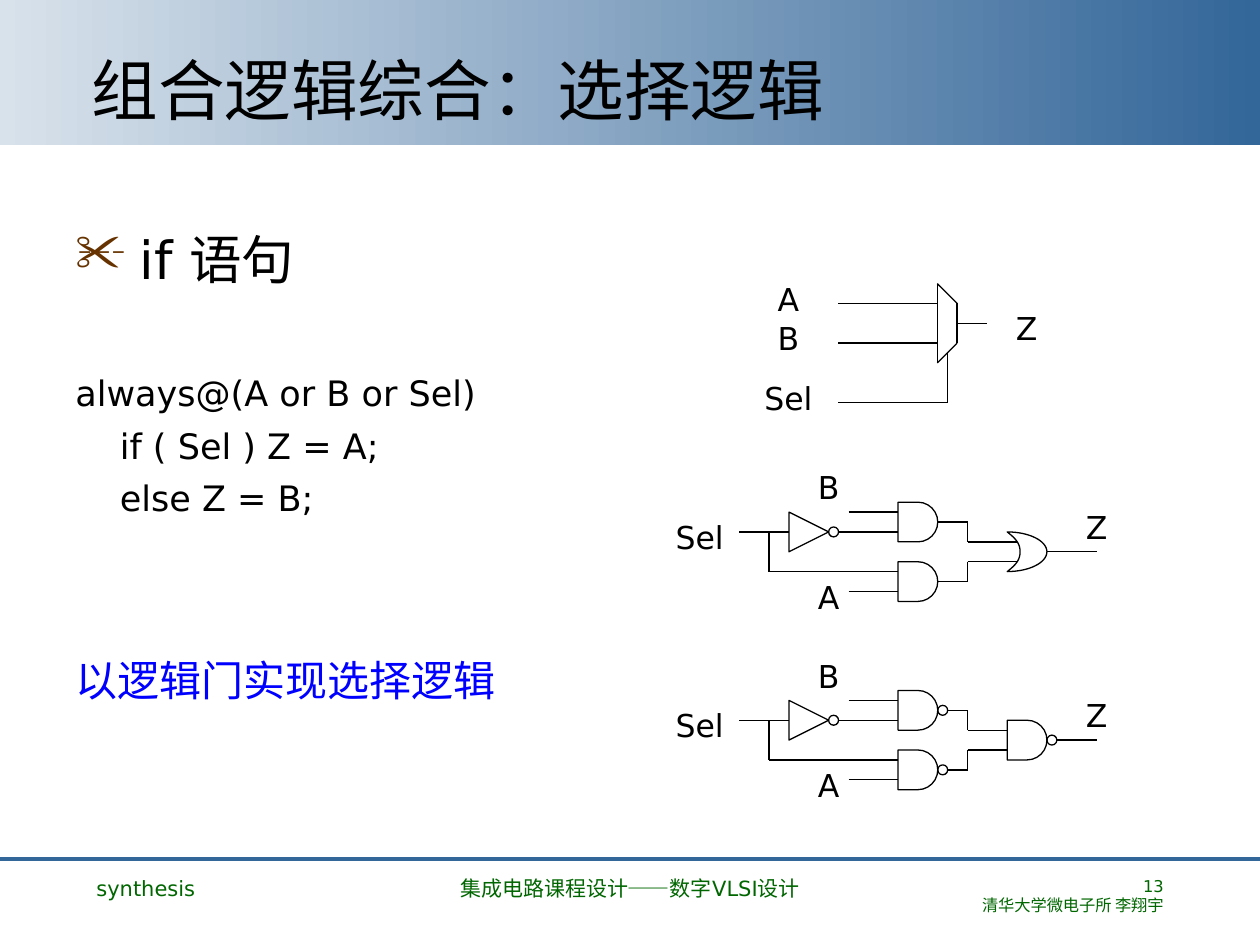
from dataclasses import dataclass

import pptx
import pptx.dml.color
import pptx.enum.shapes
import pptx.enum.text
import pptx.oxml.ns
import pptx.util
from lxml import etree

Pt = pptx.util.Pt
RGB = pptx.dml.color.RGBColor.from_string
KIND = pptx.enum.shapes.MSO_SHAPE
ALIGN = pptx.enum.text.PP_ALIGN
ANCHOR = pptx.enum.text.MSO_ANCHOR


@dataclass(frozen=True)
class Theme:
    font: str = "DejaVu Sans"
    ink: str = "000000"
    blue: str = "336699"
    pale: str = "D8E2EB"
    note: str = "0000FF"
    green: str = "006600"
    bullet: str = "663300"
    title: float = 38
    head: float = 30
    conclusion: float = 24
    code: float = 20
    label: float = 18
    footer: float = 12
    credit: float = 9.3
    thin: float = 0.75
    rule: float = 2.25


@dataclass(frozen=True)
class Grid:
    """Circuit coordinates: an origin in points and a pitch of 2 mm."""
    left: float
    top: float
    pitch: float = 5.67

    def at(self, x: float, y: float) -> tuple[float, float]:
        return self.left + x * self.pitch, self.top + y * self.pitch


@dataclass(frozen=True)
class Wire:
    x1: float
    y1: float
    x2: float
    y2: float


@dataclass(frozen=True)
class Label:
    text: str
    x: float
    y: float


T = Theme()
Point = tuple[float, float]

# Multiplexer, in grid units
MUX_WIRES = [
    Wire(10, -2, 10, 6), Wire(12, 0, 12, 4), Wire(10, 6, 12, 4), Wire(10, -2, 12, 0),
    Wire(0, 0, 10, 0), Wire(0, 4, 10, 4), Wire(12, 2, 15, 2),
    Wire(11, 5, 11, 10), Wire(0, 10, 11, 10),
]
MUX_LABELS = [Label("A", -8, -2), Label("B", -8, 2), Label("Sel", -8, 8), Label("Z", 16, 1)]

# Wiring shared by both gate circuits
GATE_WIRES = [
    Wire(0, 0, 5, 0), Wire(10, 0, 16, 0), Wire(3, 0, 3, 4), Wire(3, 4, 16, 4),
    Wire(11, -2, 16, -2), Wire(11, 6, 16, 6), Wire(23, -1, 23, 1), Wire(23, 3, 23, 5),
]
GATE_LABELS = [Label("A", 6, 5), Label("B", 6, -6), Label("Sel", -7, -1), Label("Z", 33, -2)]
OR_CURVES = [
    ((27, 4), (27.6, 3.5), (28.3, 3), (28.3, 2)),
    ((28.3, 2), (28.3, 1), (27.6, 0.5), (27, 0)),
    ((27, 0), (29.2, 0), (31, 0.9), (31, 2)),
    ((31, 2), (31, 3.1), (29.2, 4), (27, 4)),
]


def add_text(s, text: str, box=None, *, tf=None, size: float, color: str = T.ink,
             align=ALIGN.LEFT, anchor=ANCHOR.TOP, inset: Point = (7.2, 3.6),
             wrap: bool = True, before: float = 0, bullet: str = "", hang: float = 0):
    """Write a paragraph in a new box, or append it to the given text frame."""
    if tf is None:
        tf = s.shapes.add_textbox(*map(Pt, box)).text_frame
        tf.word_wrap, tf.vertical_anchor = wrap, anchor
        tf.margin_left = tf.margin_right = Pt(inset[0])
        tf.margin_top = tf.margin_bottom = Pt(inset[1])
        p = tf.paragraphs[0]
    else:
        p = tf.add_paragraph()
    p.alignment = align
    if before:
        p.space_before = Pt(before)
    if bullet:
        ppr = p._p.get_or_add_pPr()
        ppr.set("marL", str(Pt(hang)))
        ppr.set("indent", str(-Pt(hang)))
        tint = etree.SubElement(ppr, pptx.oxml.ns.qn("a:buClr"))
        etree.SubElement(tint, pptx.oxml.ns.qn("a:srgbClr"), val=T.bullet)
        etree.SubElement(ppr, pptx.oxml.ns.qn("a:buChar"), char=bullet)
    r = p.add_run()
    r.text = text
    r.font.name, r.font.size = T.font, Pt(size)
    r.font.color.rgb = RGB(color)
    return tf


def add_line(s, start: Point, end: Point, color: str = T.ink, width: float = T.thin) -> None:
    c = s.shapes.add_connector(pptx.enum.shapes.MSO_CONNECTOR.STRAIGHT,
                               *map(Pt, (*start, *end)))
    c.line.color.rgb, c.line.width = RGB(color), Pt(width)
    etree.SubElement(c._element.spPr, pptx.oxml.ns.qn("a:effectLst"))


def outline(sp) -> None:
    sp.shadow.inherit = False
    sp.fill.background()
    sp.line.color.rgb, sp.line.width = RGB(T.ink), Pt(T.thin)


def add_part(s, g: Grid, kind, x: float, y: float, size: float, turn: float = 0) -> None:
    side = size * g.pitch
    sp = s.shapes.add_shape(kind, *map(Pt, (*g.at(x, y), side, side)))
    sp.rotation = turn
    outline(sp)


def add_wiring(s, g: Grid, wires: list[Wire], labels: list[Label]) -> None:
    for w in wires:
        add_line(s, g.at(w.x1, w.y1), g.at(w.x2, w.y2))
    for b in labels:
        add_text(s, b.text, (*g.at(b.x, b.y), 6 * g.pitch, 3 * g.pitch), size=T.label,
                 align=ALIGN.CENTER, anchor=ANCHOR.MIDDLE, inset=(0, 0), wrap=False)


def add_or_gate(s, g: Grid, steps: int = 16) -> None:
    points = []
    for curve in OR_CURVES:
        for i in range(steps):
            t = i / steps
            weights = ((1 - t) ** 3, 3 * t * (1 - t) ** 2, 3 * t * t * (1 - t), t ** 3)
            x, y = (sum(w * q[k] for w, q in zip(weights, curve)) for k in (0, 1))
            points.append(tuple(map(Pt, g.at(x, y))))
    builder = s.shapes.build_freeform(*points[0])
    builder.add_line_segments(points[1:], close=True)
    outline(builder.convert_to_shape())


def add_gate_circuit(s, g: Grid, nand: bool) -> None:
    out = 21 if nand else 20
    into, end = (27, 32) if nand else (28, 31)
    wires = GATE_WIRES + [Wire(out, y, 23, y) for y in (-1, 5)]
    wires += [Wire(23, y, into, y) for y in (1, 3)] + [Wire(end, 2, 36, 2)]
    add_wiring(s, g, wires, GATE_LABELS)
    add_part(s, g, KIND.ISOSCELES_TRIANGLE, 5, -2, 4, turn=90)
    add_part(s, g, KIND.OVAL, 9, -0.5, 1)
    gates = [(16, -3), (16, 3)] + ([(27, 0)] if nand else [])
    for x, y in gates:
        add_part(s, g, KIND.FLOWCHART_DELAY, x, y, 4)
        if nand:
            add_part(s, g, KIND.OVAL, x + 4, y + 1.5, 1)
    if not nand:
        add_or_gate(s, g)


def main() -> None:
    prs = pptx.Presentation()
    prs.slide_width, prs.slide_height = Pt(720), Pt(540)
    s = prs.slides.add_slide(prs.slide_layouts[6])

    # Title band and footer rule
    band = s.shapes.add_shape(KIND.RECTANGLE, 0, 0, Pt(720), Pt(82.8))
    band.shadow.inherit = False
    band.line.fill.background()
    band.fill.gradient()
    band.fill.gradient_angle = 0
    for stop, position, color in zip(band.fill.gradient_stops, (0, 1), (T.pale, T.blue)):
        stop.position, stop.color.rgb = position, RGB(color)
    add_line(s, (0, 491), (720, 491), T.blue, T.rule)
    add_text(s, "组合逻辑综合：选择逻辑", (45.4, 23.8, 630, 53.3), size=T.title,
             anchor=ANCHOR.BOTTOM)

    # Statement, code and conclusion
    tf = add_text(s, "if 语句", (36, 126, 330, 372), size=T.head, bullet="✂", hang=36.7)
    add_text(s, "always@(A or B or Sel)", tf=tf, size=T.code, before=47)
    for line in ("    if ( Sel ) Z = A;", "    else Z = B;"):
        add_text(s, line, tf=tf, size=T.code, before=5.8)
    add_text(s, "以逻辑门实现选择逻辑", tf=tf, size=T.conclusion, color=T.note, before=78)

    # Circuits
    add_wiring(s, Grid(478.9, 173.4), MUX_WIRES, MUX_LABELS)
    add_gate_circuit(s, Grid(422.5, 304), nand=False)
    add_gate_circuit(s, Grid(422.5, 411.6), nand=True)

    # Footer
    add_text(s, "synthesis", (48, 497, 156, 32.4), size=T.footer, color=T.green)
    add_text(s, "集成电路课程设计——数字VLSI设计", (246, 497, 228, 32.4), size=T.footer,
             color=T.green, align=ALIGN.CENTER)
    credit = {"size": T.credit, "color": T.green, "align": ALIGN.RIGHT}
    tf = add_text(s, "13", (516, 497, 156, 32.4), **credit)
    add_text(s, "清华大学微电子所 李翔宇", tf=tf, **credit)

    prs.save("out.pptx")


if __name__ == "__main__":
    main()
